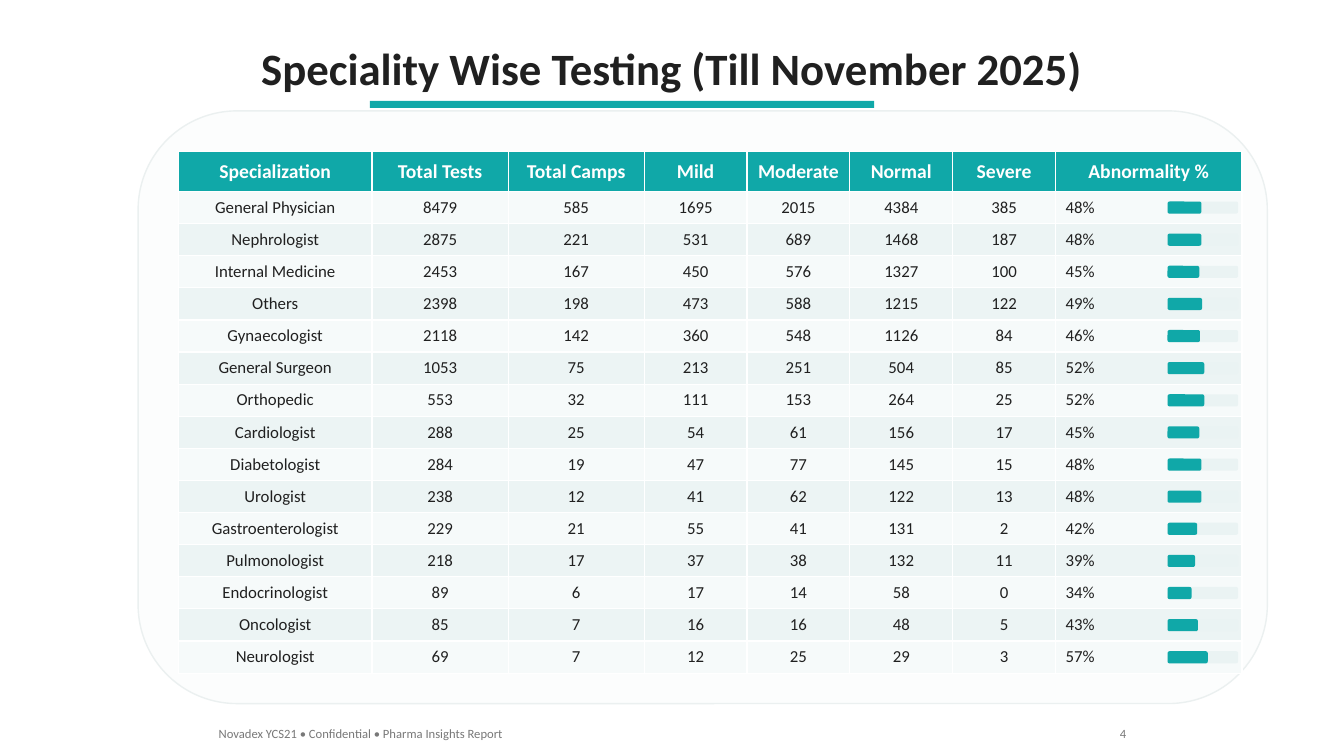
"""Build the speciality-wise testing slide with its table and abnormality bars."""
from dataclasses import astuple, dataclass

from pptx import Presentation
from pptx.dml.color import RGBColor
from pptx.enum.shapes import MSO_SHAPE as SHAPE
from pptx.enum.text import MSO_ANCHOR as ANCHOR, MSO_AUTO_SIZE as AUTO, PP_ALIGN as ALIGN
from pptx.util import Emu, Pt

PX = 9144
FONT = "Calibri"
COLORS = {
    "teal": "10A8A8",
    "ink": "202020",
    "white": "FFFFFF",
    "grey": "787878",
    "card": "FCFDFD",
    "card_line": "EBF0F0",
    "row_odd": "F6FAFA",
    "row_even": "ECF4F4",
    "track": "EAF3F3",
}


@dataclass(frozen=True)
class Box:
    x: float
    y: float
    w: float
    h: float

    def emu(self) -> tuple[Emu, ...]:
        return tuple(Emu(round(v * PX)) for v in astuple(self))


@dataclass(frozen=True)
class Style:
    size: int
    color: str
    bold: bool = False
    align: ALIGN = ALIGN.LEFT


@dataclass(frozen=True)
class Speciality:
    name: str
    tests: int
    camps: int
    mild: int
    moderate: int
    normal: int
    severe: int

    @property
    def abnormality(self) -> int:
        return (self.tests - self.normal) * 100 // self.tests


HEADERS = ("Specialization", "Total Tests", "Total Camps", "Mild",
           "Moderate", "Normal", "Severe", "Abnormality %")
COL_WIDTHS = (192, 135, 135, 102, 102, 102, 102, 185)
SPECIALITIES = (
    Speciality("General Physician", 8479, 585, 1695, 2015, 4384, 385),
    Speciality("Nephrologist", 2875, 221, 531, 689, 1468, 187),
    Speciality("Internal Medicine", 2453, 167, 450, 576, 1327, 100),
    Speciality("Others", 2398, 198, 473, 588, 1215, 122),
    Speciality("Gynaecologist", 2118, 142, 360, 548, 1126, 84),
    Speciality("General Surgeon", 1053, 75, 213, 251, 504, 85),
    Speciality("Orthopedic", 553, 32, 111, 153, 264, 25),
    Speciality("Cardiologist", 288, 25, 54, 61, 156, 17),
    Speciality("Diabetologist", 284, 19, 47, 77, 145, 15),
    Speciality("Urologist", 238, 12, 41, 62, 122, 13),
    Speciality("Gastroenterologist", 229, 21, 55, 41, 131, 2),
    Speciality("Pulmonologist", 218, 17, 37, 38, 132, 11),
    Speciality("Endocrinologist", 89, 6, 17, 14, 58, 0),
    Speciality("Oncologist", 85, 7, 16, 16, 48, 5),
    Speciality("Neurologist", 69, 7, 12, 25, 29, 3),
)
TABLE = Box(177, 150, sum(COL_WIDTHS), 518)
HEADER_H = 40
ROW_H = (TABLE.h - HEADER_H) / len(SPECIALITIES)
BAR_X, BAR_W, BAR_H = 1158, 70, 12

TITLE = Style(32, "ink", True, ALIGN.CENTER)
HEAD = Style(14, "white", True, ALIGN.CENTER)
VALUE = Style(12, "ink", align=ALIGN.CENTER)
PERCENT = Style(12, "ink")
FOOTER = Style(9, "grey")
PAGE = Style(9, "grey", align=ALIGN.RIGHT)


def rgb(name: str) -> RGBColor:
    return RGBColor.from_string(COLORS[name])


def write(tf, text: str, style: Style) -> None:
    p = tf.paragraphs[0]
    p.alignment = style.align
    r = p.add_run()
    r.text = text
    r.font.name = FONT
    r.font.size = Pt(style.size)
    r.font.bold = style.bold
    r.font.color.rgb = rgb(style.color)


def write_line(sp, text: str, style: Style) -> None:
    tf = sp.text_frame
    tf.word_wrap = False
    tf.auto_size = AUTO.SHAPE_TO_FIT_TEXT
    write(tf, text, style)


def add_title(s, box: Box, text: str) -> None:
    sp = s.shapes.title
    sp.left, sp.top, sp.width, sp.height = box.emu()
    write_line(sp, text, TITLE)


def add_label(s, box: Box, text: str, style: Style) -> None:
    write_line(s.shapes.add_textbox(*box.emu()), text, style)


def add_block(s, kind: SHAPE, box: Box, fill: str, line: str | None = None) -> None:
    sp = s.shapes.add_shape(kind, *box.emu())
    sp.shadow.inherit = False
    sp.fill.solid()
    sp.fill.fore_color.rgb = rgb(fill)
    if line:
        sp.line.color.rgb = rgb(line)
        sp.line.width = Pt(1)
    else:
        sp.line.fill.background()


def fill_cell(cell, text: str, style: Style, fill: str) -> None:
    cell.fill.solid()
    cell.fill.fore_color.rgb = rgb(fill)
    cell.vertical_anchor = ANCHOR.MIDDLE
    write(cell.text_frame, text, style)


def add_results(s) -> None:
    frame = s.shapes.add_table(len(SPECIALITIES) + 1, len(HEADERS), *TABLE.emu())
    table = frame.table
    for col, width in zip(table.columns, COL_WIDTHS):
        col.width = Emu(width * PX)
    for i, row in enumerate(table.rows):
        row.height = Emu(round((ROW_H if i else HEADER_H) * PX))
    for c, text in enumerate(HEADERS):
        fill_cell(table.cell(0, c), text, HEAD, "teal")
    for i, item in enumerate(SPECIALITIES, 1):
        fill = "row_odd" if i % 2 else "row_even"
        for c, value in enumerate(astuple(item)):
            fill_cell(table.cell(i, c), str(value), VALUE, fill)
        fill_cell(table.cell(i, len(HEADERS) - 1), f"{item.abnormality}%", PERCENT, fill)


def add_bars(s) -> None:
    first = TABLE.y + HEADER_H + (ROW_H - BAR_H) / 2
    for i, item in enumerate(SPECIALITIES):
        y = first + i * ROW_H
        for share, fill in ((100, "track"), (item.abnormality, "teal")):
            box = Box(BAR_X, y, BAR_W * share / 100, BAR_H)
            add_block(s, SHAPE.ROUNDED_RECTANGLE, box, fill)


def main() -> None:
    prs = Presentation()
    prs.slide_width, prs.slide_height = Emu(1333 * PX), Emu(750 * PX)
    s = prs.slides.add_slide(prs.slide_layouts[5])
    add_title(s, Box(245, 35, 843, 64), "Speciality Wise Testing (Till November 2025)")
    add_block(s, SHAPE.RECTANGLE, Box(367, 100, 500, 7), "teal")
    add_block(s, SHAPE.ROUNDED_RECTANGLE, Box(137, 110, 1120, 588), "card", "card_line")
    add_results(s)
    add_bars(s)
    add_label(s, Box(207, 715, 305, 25),
              "Novadex YCS21 • Confidential • Pharma Insights Report", FOOTER)
    add_label(s, Box(1100, 715, 27, 25), "4", PAGE)
    prs.save("out.pptx")


if __name__ == "__main__":
    main()
